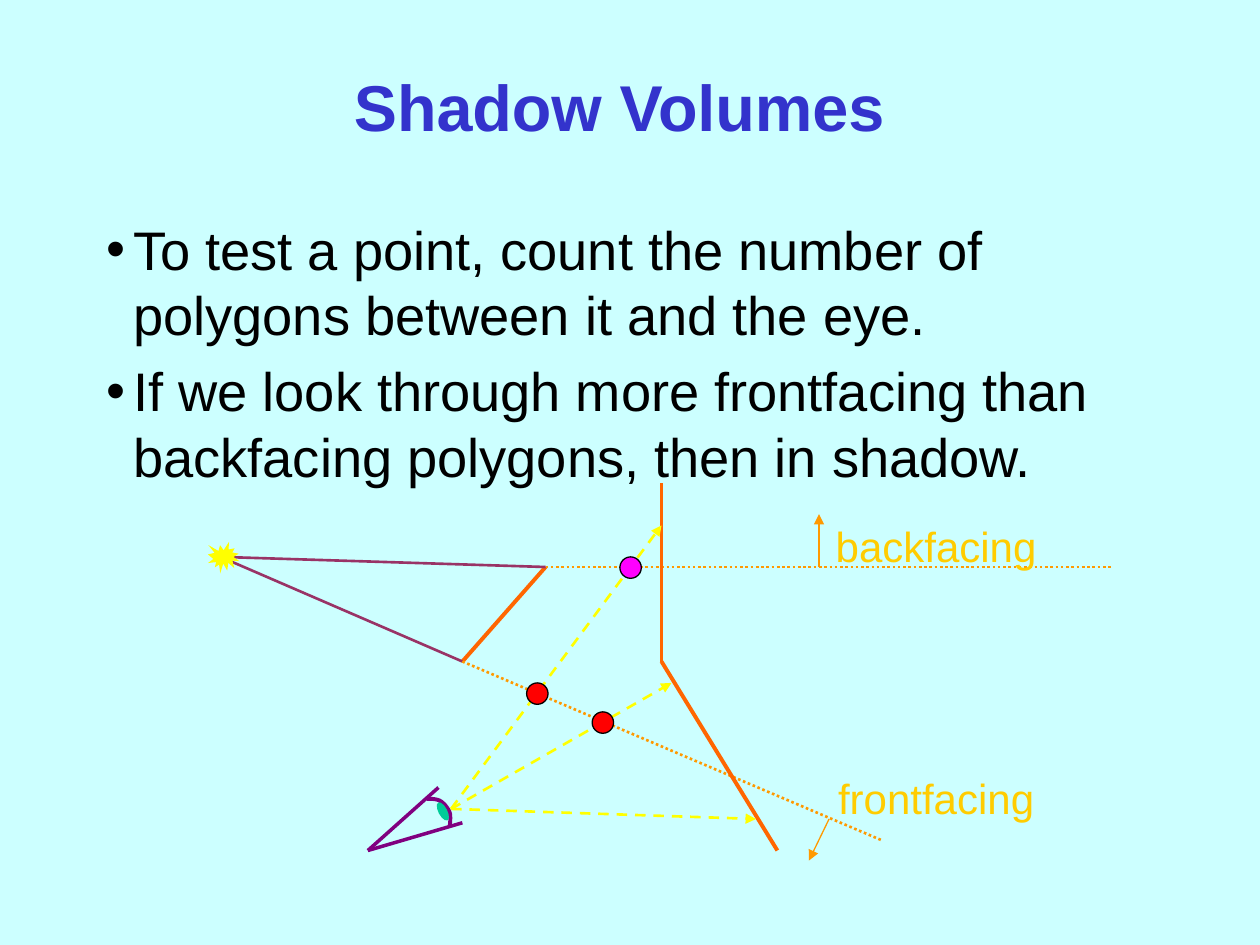
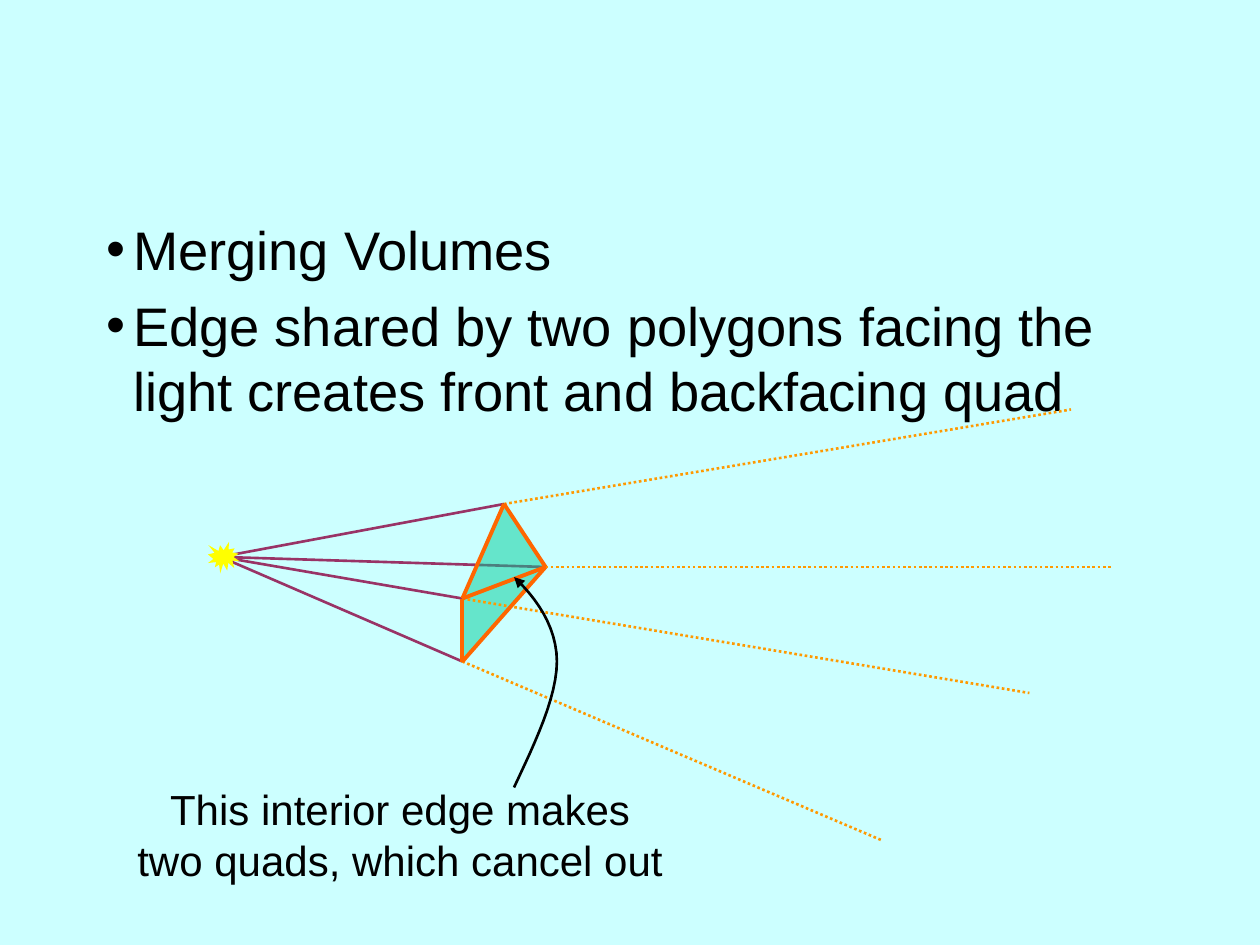
from lxml import etree
from pptx import Presentation
from pptx.dml.color import RGBColor
from pptx.enum.dml import MSO_LINE
from pptx.enum.shapes import MSO_CONNECTOR, MSO_SHAPE
from pptx.enum.text import MSO_ANCHOR, PP_ALIGN
from pptx.oxml.ns import qn
from pptx.util import Inches, Pt

STRAIGHT = MSO_CONNECTOR.STRAIGHT
OVAL, BURST = MSO_SHAPE.OVAL, MSO_SHAPE.EXPLOSION1
DOT, DASH = MSO_LINE.ROUND_DOT, MSO_LINE.DASH
LEFT, CENTER = PP_ALIGN.LEFT, PP_ALIGN.CENTER
TOP, MIDDLE = MSO_ANCHOR.TOP, MSO_ANCHOR.MIDDLE
TITLE_ONLY, BLANK = 5, 6

COLORS = {
    "back": "CCFFFF", "title": "3333CC", "black": "000000", "ray": "993366",
    "edge": "FF6600", "volume": "FF9900", "view": "FFFF00", "eye": "800080",
    "teal": "00CC99", "label": "FFCC00", "pink": "FF00FF", "red": "FF0000",
}
# colour, width in points, dash, arrow at the end
LINES = {
    "ray": ("ray", 1.5, None, False),
    "edge": ("edge", 2.25, None, False),
    "volume": ("volume", 1.5, DOT, False),
    "view": ("view", 1.5, DASH, True),
    "normal": ("volume", 0.75, None, True),
    "lid": ("eye", 2, None, False),
    "iris": ("eye", 2.25, None, False),
    "rim": ("black", 0.75, None, False),
    "pointer": ("black", 1.5, None, True),
}
FONTS = {
    "title": {"size": Pt(37), "bold": True},
    "body": {"size": Pt(31), "bold": False},
    "label": {"size": Pt(24), "bold": False},
}
LIGHT = (1.75, 4.42)
UPPER = (4.33, 4.5)
LOWER = (3.67, 5.25)
PEAK = (4, 4)
INNER = (3.67, 4.75)
UPPER_END, LOWER_END = (8.83, 4.5), (7, 6.67)
EYE = (3.58, 6.42)


def rgb(name):
    return RGBColor.from_string(COLORS[name])


def inches(*values):
    return [Inches(value) for value in values]


def ink(shape, style):
    """Give a shape or connector one of the shared line styles."""
    color, width, dash, arrow = LINES[style]
    line = shape.line
    line.fill.solid()
    line.fill.fore_color.rgb = rgb(color)
    line.width = Pt(width)
    if dash:
        line.dash_style = dash
    if arrow:
        etree.SubElement(line._get_or_add_ln(), qn("a:tailEnd"), type="triangle")


def paint(shape, color, style=None, alpha=None):
    """Fill a shape and set its outline; None leaves either of them out."""
    shape.shadow.inherit = False
    if color:
        shape.fill.solid()
        shape.fill.fore_color.rgb = rgb(color)
    else:
        shape.fill.background()
    if alpha:
        tone = shape.fill._xPr.find(qn("a:solidFill"))[0]
        etree.SubElement(tone, qn("a:alpha"), val=str(alpha * 1000))
    if style:
        ink(shape, style)
    else:
        shape.line.fill.background()


def add_line(shapes, start, end, style):
    line = shapes.add_connector(STRAIGHT, *inches(*start, *end))
    ink(line, style)
    etree.SubElement(line._element.spPr, qn("a:effectLst"))


def add_path(shapes, points, closed):
    points = [inches(*point) for point in points]
    pen = shapes.build_freeform(*points[0])
    pen.add_line_segments(points[1:], close=closed)
    return pen.convert_to_shape()


def add_curve(shapes, start, bends, style, steps=12):
    """Trace cubic curves; each bend holds two controls and an end point."""
    points = [start]
    for bend in bends:
        knots = [points[-1], *bend]
        for step in range(1, steps + 1):
            t = step / steps
            u = 1 - t
            parts = (u ** 3, 3 * u * u * t, 3 * u * t * t, t ** 3)
            points.append(tuple(sum(part * knot[axis] for part, knot in zip(parts, knots))
                                for axis in (0, 1)))
    paint(add_path(shapes, points, False), None, style)


def add_shape(shapes, kind, box, color, style=None, turn=0):
    shape = shapes.add_shape(kind, *inches(*box))
    shape.rotation = turn
    paint(shape, color, style)


def write(frame, lines, font, color, align=CENTER, anchor=MIDDLE, wrap=True):
    frame.word_wrap = wrap
    frame.vertical_anchor = anchor
    frame.text = "\n".join(lines)
    for para in frame.paragraphs:
        para.alignment = align
        face = para.runs[0].font
        face.name = "Arial"
        face.color.rgb = rgb(color)
        for key, value in FONTS[font].items():
            setattr(face, key, value)


def add_text(slide, box, lines, color):
    frame = slide.shapes.add_textbox(*inches(*box)).text_frame
    write(frame, lines, "label", color, wrap=False)


def add_title(slide, text):
    title = slide.shapes.title
    title.left, title.top, title.width, title.height = inches(1.5, 0.25, 6.83, 1.17)
    write(title.text_frame, [text], "title", "title")


def add_body(slide, lines):
    frame = slide.shapes.add_textbox(*inches(0.75, 1.67, 8.5, 5.17)).text_frame
    write(frame, lines, "body", "black", LEFT, TOP)
    for para in frame.paragraphs:
        para.space_before = Pt(6.2)
        props = para._p.get_or_add_pPr()
        props.set("marL", str(Inches(0.21)))
        props.set("indent", str(-Inches(0.21)))
        etree.SubElement(props, qn("a:buFont"), typeface="Arial")
        etree.SubElement(props, qn("a:buChar"), char="•")


def add_light(shapes):
    add_shape(shapes, BURST, (1.65, 4.3, 0.25, 0.25), "view")


def add_beam(shapes, corner, end):
    """Draw the ray from the light to a corner and the volume side behind it."""
    add_line(shapes, LIGHT, corner, "ray")
    add_line(shapes, corner, end, "volume")


def add_eye(slide):
    shapes = slide.shapes.add_group_shape().shapes
    back = (2.92, 6.75)
    for tip in ((3.48, 6.25), (3.67, 6.53)):
        add_line(shapes, back, tip, "lid")
    add_curve(shapes, (3.39, 6.34), [
        ((3.43, 6.34), (3.47, 6.34), (3.5, 6.36)),
        ((3.53, 6.38), (3.56, 6.42), (3.57, 6.45)),
        ((3.58, 6.48), (3.57, 6.56), (3.57, 6.55)),
    ], "iris")
    add_shape(shapes, OVAL, (3.48, 6.36, 0.07, 0.16), "teal", turn=332.4)


def draw_count(slide):
    add_title(slide, "Shadow Volumes")
    add_body(slide, [
        "To test a point, count the number of polygons between it and the eye.",
        "If we look through more frontfacing than backfacing polygons, then in shadow.",
    ])
    shapes = slide.shapes
    add_line(shapes, UPPER, LOWER, "edge")
    add_beam(shapes, LOWER, LOWER_END)
    add_beam(shapes, UPPER, UPPER_END)
    add_eye(slide)
    bend = (5.25, 5.25)
    for end in ((6.17, 6.75), (5.25, 3.83)):
        add_line(shapes, bend, end, "edge")
    for target in ((5.25, 4.17), (5.33, 5.42), (6, 6.5)):
        add_line(shapes, EYE, target, "view")
    add_text(slide, (6.55, 6.08, 1.76, 0.5), ["frontfacing"], "label")
    add_text(slide, (6.53, 4.08, 1.8, 0.5), ["backfacing"], "label")
    add_line(shapes, (6.5, 4.5), (6.5, 4.08), "normal")
    add_line(shapes, (6.58, 6.5), (6.42, 6.83), "normal")
    for left, top, color in ((4.92, 4.42, "pink"), (4.18, 5.42, "red"), (4.7, 5.65, "red")):
        add_shape(shapes, OVAL, (left, top, 0.17, 0.17), color, "rim")
    add_light(shapes)


def draw_merge(slide):
    add_body(slide, [
        "Merging Volumes",
        "Edge shared by two polygons facing the light creates front and backfacing quad",
    ])
    shapes = slide.shapes
    add_line(shapes, LIGHT, UPPER, "ray")
    for corner in (PEAK, LOWER):
        face = add_path(shapes, (corner, UPPER, INNER), True)
        paint(face, "teal", alpha=50)
    add_line(shapes, UPPER, UPPER_END, "volume")
    for corner, end in ((LOWER, LOWER_END), (INNER, (8.17, 5.5)), (PEAK, (8.5, 3.25))):
        add_beam(shapes, corner, end)
    for start, end in ((UPPER, LOWER), (LOWER, INNER), (INNER, UPPER),
                       (PEAK, INNER), (UPPER, PEAK)):
        add_line(shapes, start, end, "edge")
    add_light(shapes)
    add_text(slide, (0.99, 6.17, 4.37, 0.9),
             ["This interior edge makes", "two quads, which cancel out"], "black")
    add_curve(shapes, (4.08, 6.25), [
        ((4.25, 5.89), (4.42, 5.53), (4.42, 5.25)),
        ((4.42, 4.97), (4.25, 4.74), (4.08, 4.58)),
    ], "pointer")


def main():
    deck = Presentation()
    deck.slide_width, deck.slide_height = inches(10, 7.5)
    back = deck.slide_master.background.fill
    back.solid()
    back.fore_color.rgb = rgb("back")
    for layout, draw in ((TITLE_ONLY, draw_count), (BLANK, draw_merge)):
        draw(deck.slides.add_slide(deck.slide_layouts[layout]))
    deck.save("out.pptx")


if __name__ == "__main__":
    main()
